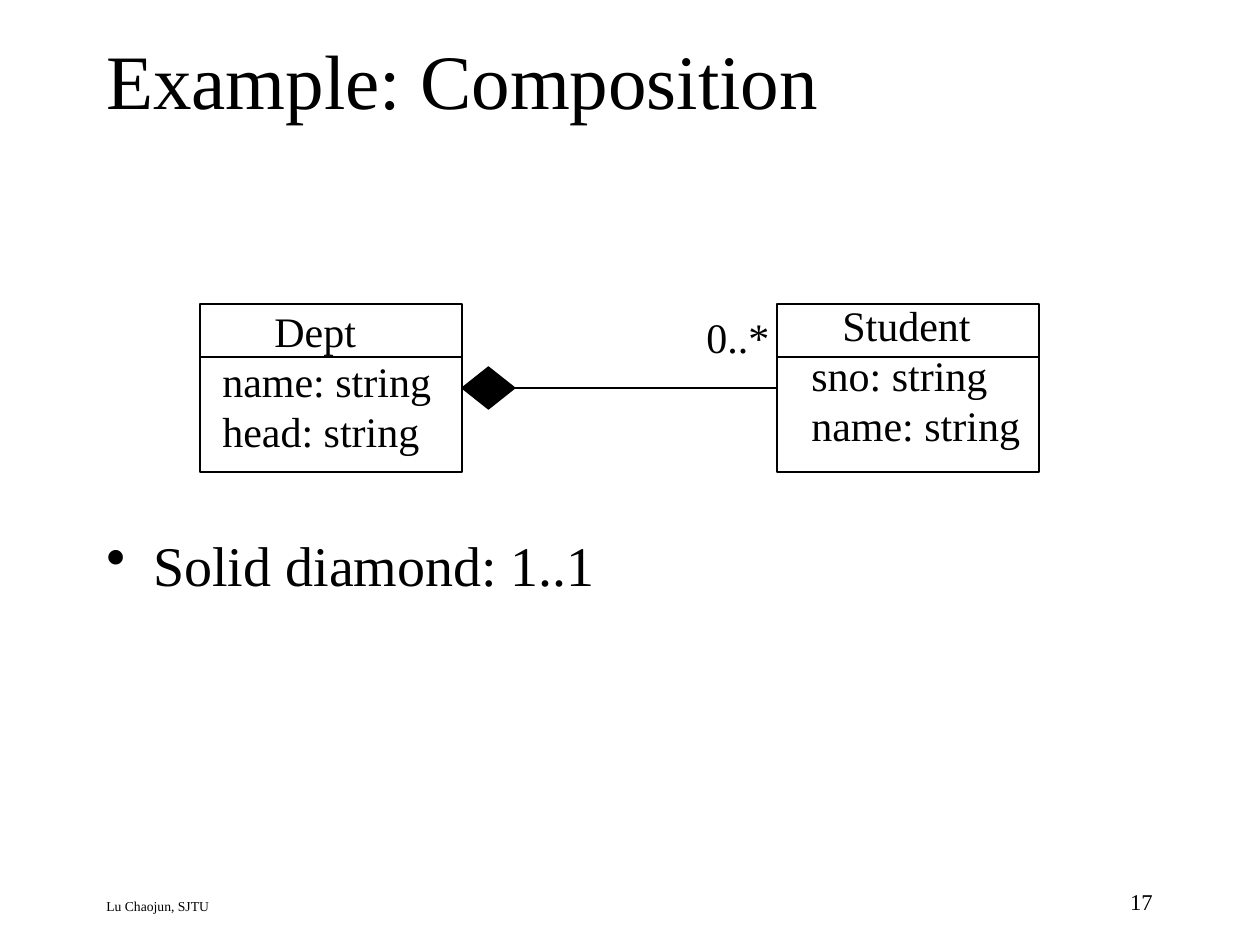
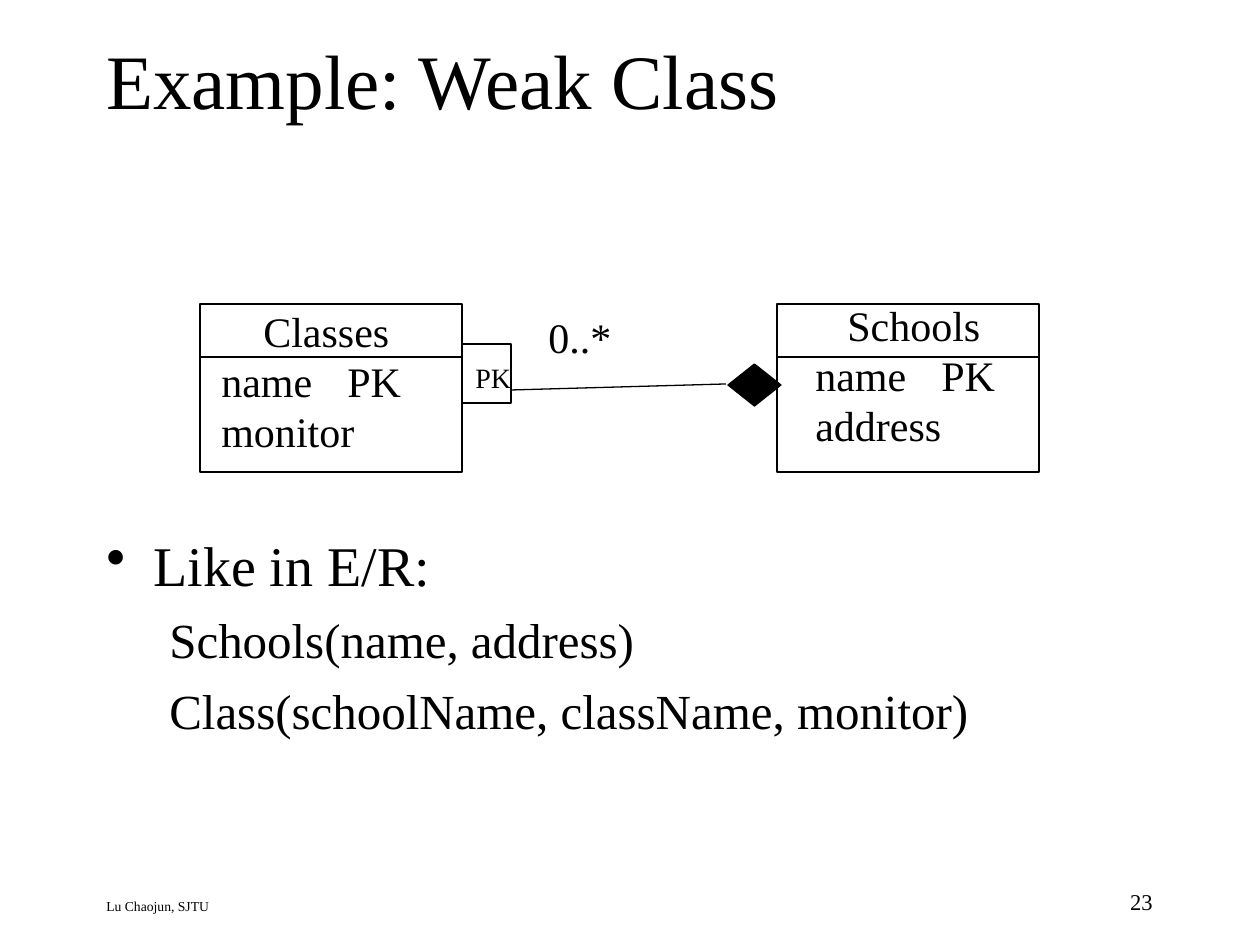
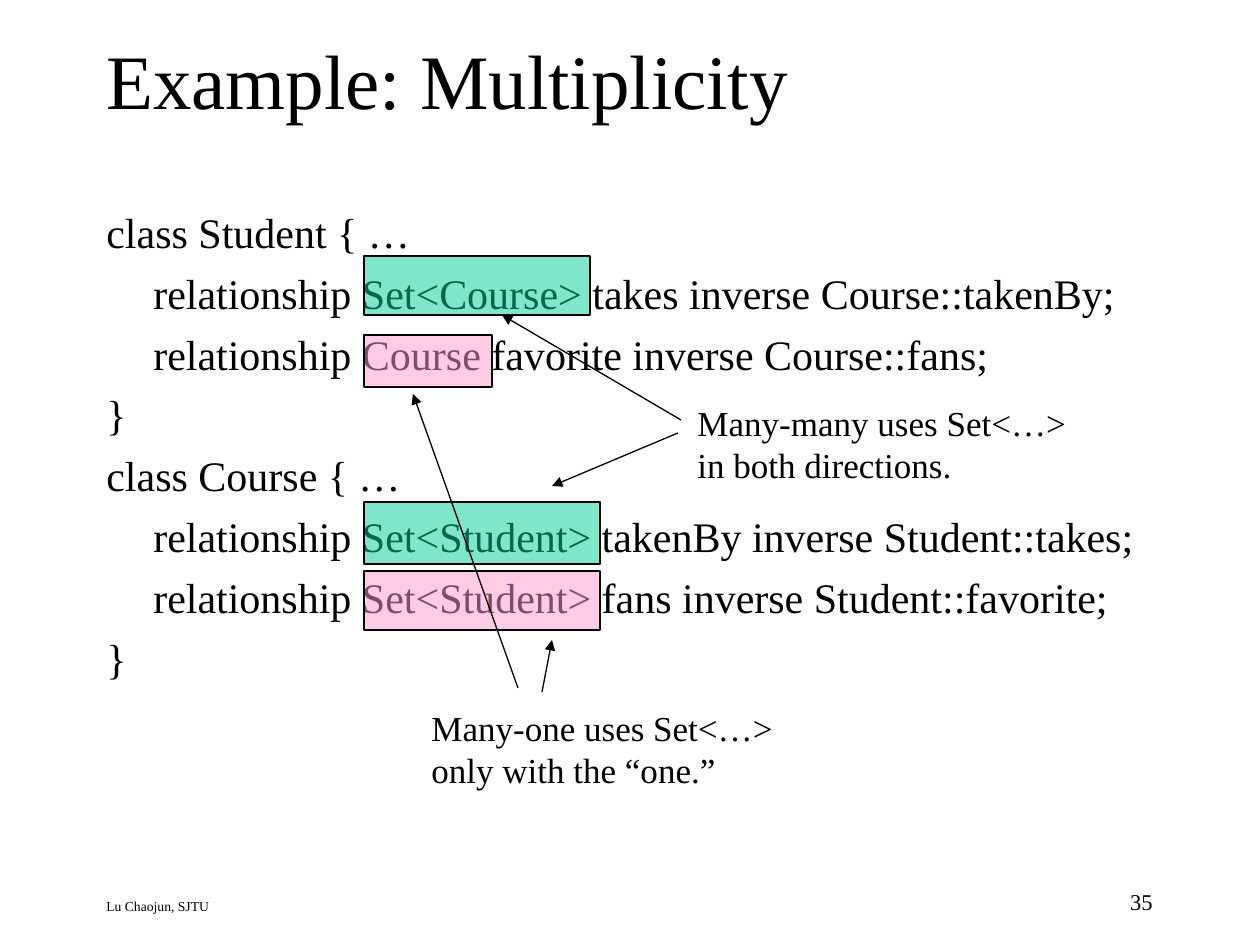
from dataclasses import dataclass

from lxml.etree import SubElement
from pptx import Presentation
from pptx.dml.color import RGBColor
from pptx.enum.shapes import MSO_CONNECTOR, MSO_SHAPE
from pptx.enum.text import MSO_ANCHOR, PP_ALIGN
from pptx.oxml.ns import qn
from pptx.util import Emu, Pt


@dataclass(frozen=True)
class Theme:
    font: str = "Times New Roman"
    ink: str = "000000"
    many_many: str = "00CC99"
    many_one: str = "FF99CC"
    title: float = 44
    bullet: float = 32
    sub: float = 28
    label: float = 24
    note: float = 20
    qualifier: float = 16
    number: float = 12.9
    footer: float = 7.8
    leading: float = 1.2
    line: float = 0.75


T = Theme()
PX_PER_INCH = 126

# Class diagram grid, in px
CLASS_W, CLASS_H, HEADER_H = 262, 168, 53
LEFT_X, RIGHT_X, CLASS_Y = 200, 777, 304
DIAMOND_W, DIAMOND_H = 53, 42
HANG = 47


def px(n):
    return Emu(round(n * 914400 / PX_PER_INCH))


def rgb(hex_color):
    return RGBColor.from_string(hex_color)


# Text
def add_text(s, x, y, w, h, anchor=MSO_ANCHOR.TOP):
    tf = s.shapes.add_textbox(px(x), px(y), px(w), px(h)).text_frame
    tf.word_wrap = True
    tf.vertical_anchor = anchor
    return tf


def add_line(tf, text, size, before=0, left=0, first=0, bullet=None, tab=None,
             align=PP_ALIGN.LEFT):
    """Add one paragraph; the first one fills the empty paragraph of the frame."""
    p = tf.paragraphs[0]
    if p.runs:
        p = tf.add_paragraph()
        p.space_before = Pt(before)
    p.alignment = align
    p.line_spacing = Pt(round(size * T.leading, 1))
    r = p.add_run()
    r.text = text
    r.font.size = Pt(size)
    r.font.name = T.font
    r.font.color.rgb = rgb(T.ink)
    pPr = p._p.get_or_add_pPr()
    pPr.set("marL", str(px(left)))
    pPr.set("indent", str(px(first)))
    if bullet:
        SubElement(pPr, qn("a:buChar")).set("char", bullet)
    if tab:
        stop = SubElement(SubElement(pPr, qn("a:tabLst")), qn("a:tab"))
        stop.set("pos", str(px(tab)))
        stop.set("algn", "l")


def add_note(s, x, y, w, h, lines, size):
    tf = add_text(s, x, y, w, h)
    for text in lines:
        add_line(tf, text, size)


# Shapes and lines
def add_box(s, x, y, w, h, fill=None, alpha=None, kind=MSO_SHAPE.RECTANGLE):
    sp = s.shapes.add_shape(kind, px(x), px(y), px(w), px(h))
    sp.shadow.inherit = False
    sp.line.color.rgb = rgb(T.ink)
    sp.line.width = Pt(T.line)
    if fill is None:
        sp.fill.background()
        return
    sp.fill.solid()
    sp.fill.fore_color.rgb = rgb(fill)
    if alpha:
        color = sp._element.spPr.find(qn("a:solidFill"))[0]
        SubElement(color, qn("a:alpha")).set("val", str(alpha * 1000))


def add_diamond(s, x, y):
    add_box(s, x, y, DIAMOND_W, DIAMOND_H, T.ink, kind=MSO_SHAPE.DIAMOND)


def connect(s, x1, y1, x2, y2, arrow=False):
    c = s.shapes.add_connector(MSO_CONNECTOR.STRAIGHT, px(x1), px(y1), px(x2), px(y2))
    c.line.color.rgb = rgb(T.ink)
    c.line.width = Pt(T.line)
    if arrow:
        SubElement(c.line._get_or_add_ln(), qn("a:tailEnd")).set("type", "triangle")
    SubElement(c._element.spPr, qn("a:effectLst"))


def add_class(s, x, text_x, text_y, name, name_indent, attributes, tab=None):
    """Draw a UML class: name above the divider, attributes below."""
    tf = add_text(s, text_x, text_y, 240, 164)
    add_line(tf, name, T.label, first=name_indent)
    for attribute in attributes:
        add_line(tf, attribute, T.label, tab=tab)
    add_box(s, x, CLASS_Y, CLASS_W, CLASS_H)
    divider_y = CLASS_Y + HEADER_H
    connect(s, x, divider_y, x + CLASS_W, divider_y)


# Shared slide frame
def add_slide(prs, title, number):
    s = prs.slides.add_slide(prs.slide_layouts[6])
    add_line(add_text(s, 94, 0, 1071, 158, MSO_ANCHOR.MIDDLE), title, T.title)
    add_line(add_text(s, 94, 892, 731, 32), "Lu Chaojun, SJTU", T.footer)
    add_line(add_text(s, 903, 882, 262, 42), number, T.number, align=PP_ALIGN.RIGHT)
    return s


def add_bullet(s, text):
    tf = add_text(s, 94, 524, 1071, 315)
    add_line(tf, text, T.bullet, left=HANG, first=-HANG, bullet="•")
    return tf


# Slides
def composition_slide(prs):
    s = add_slide(prs, "Example: Composition", "17")
    add_bullet(s, "Solid diamond: 1..1")
    add_class(s, LEFT_X, 210, 299, "Dept", 52, ["name: string", "head: string"])
    add_class(s, RIGHT_X, 799, 293, "Student", 31, ["sno: string", "name: string"])
    add_diamond(s, LEFT_X + CLASS_W, 367)
    connect(s, LEFT_X + CLASS_W + DIAMOND_W, 388, RIGHT_X, 388)
    add_note(s, 694, 305, 95, 63, ["0..*"], T.label)


def weak_class_slide(prs):
    s = add_slide(prs, "Example: Weak Class", "23")
    tf = add_bullet(s, "Like in E/R:")
    for relation in ("Schools(name, address)", "Class(schoolName, className, monitor)"):
        add_line(tf, relation, T.sub, before=7, left=102, first=-39)
    add_class(s, LEFT_X, 209, 299, "Classes", 42, ["name\tPK", "monitor"], tab=144)
    add_class(s, RIGHT_X, 803, 293, "Schools", 32, ["name\tPK", "address"], tab=133)
    add_diamond(s, 728, 364)
    connect(s, 512, 390, 726, 384)
    add_note(s, 536, 305, 95, 63, ["0..*"], T.label)
    # Qualifier holding the borrowed key
    add_box(s, LEFT_X + CLASS_W, 344, 49, 59)
    add_note(s, 463, 354, 66, 46, ["PK"], T.qualifier)


def multiplicity_slide(prs):
    s = add_slide(prs, "Example: Multiplicity", "35")
    code = (
        (0, "class Student { …"),
        (1, "relationship Set<Course> takes inverse Course::takenBy;"),
        (1, "relationship Course favorite inverse Course::fans;"),
        (0, "}"),
        (0, "class Course { …"),
        (1, "relationship Set<Student> takenBy inverse Student::takes;"),
        (1, "relationship Set<Student> fans inverse Student::favorite;"),
        (0, "}"),
    )
    tf = add_text(s, 94, 200, 1071, 640)
    for depth, text in code:
        add_line(tf, text, T.label, before=6, left=HANG, first=(depth - 1) * HANG)

    # Highlighted types
    for y, w, h, fill in (
        (256, 226, 59, T.many_many),
        (502, 236, 62, T.many_many),
        (335, 128, 52, T.many_one),
        (571, 236, 59, T.many_one),
    ):
        add_box(s, 364, y, w, h, fill, alpha=50)

    # Explanations and their arrows
    add_note(s, 685, 395, 400, 97, ["Many-many uses Set<…>", "in both directions."], T.note)
    add_note(s, 419, 700, 375, 97, ["Many-one uses Set<…>", "only with the “one.”"], T.note)
    for ends in (
        (681, 420, 502, 315),
        (678, 433, 552, 486),
        (518, 688, 413, 394),
        (542, 692, 552, 640),
    ):
        connect(s, *ends, arrow=True)


def main():
    prs = Presentation()
    prs.slide_width, prs.slide_height = px(1260), px(945)
    composition_slide(prs)
    weak_class_slide(prs)
    multiplicity_slide(prs)
    prs.save("out.pptx")


if __name__ == "__main__":
    main()
